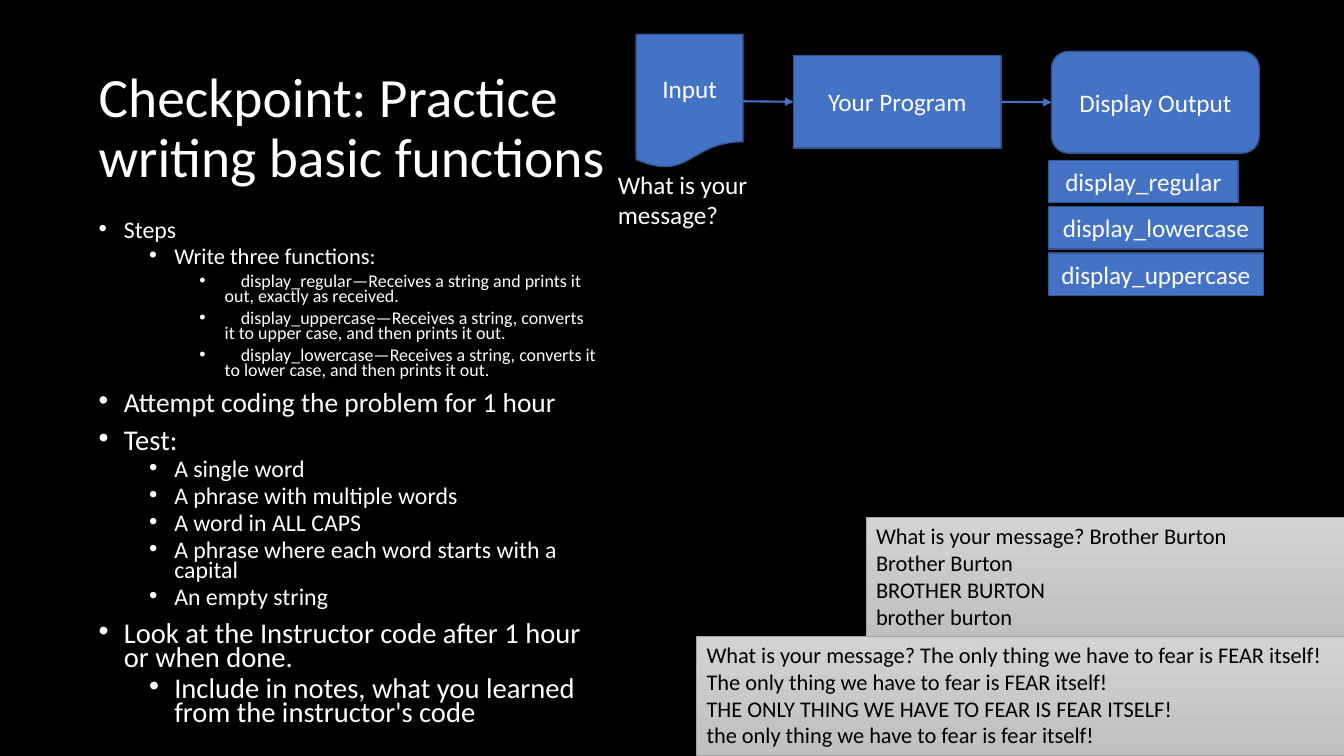
import pptx
import pptx.util
import pptx.dml.color
import pptx.enum.dml
import pptx.enum.shapes
import pptx.enum.text
import pptx.oxml
import pptx.oxml.ns

RGB = pptx.dml.color.RGBColor
SHAPE = pptx.enum.shapes.MSO_SHAPE
ALIGN = pptx.enum.text.PP_ALIGN
ANCHOR = pptx.enum.text.MSO_ANCHOR
FIT = pptx.enum.text.MSO_AUTO_SIZE

BLACK = RGB(0x00, 0x00, 0x00)
WHITE = RGB(0xFF, 0xFF, 0xFF)
BLUE = RGB(0x44, 0x72, 0xC4)
NAVY = RGB(0x32, 0x54, 0x91)
GREY = RGB(0xA5, 0xA5, 0xA5)
LIGHT = RGB(0xD2, 0xD2, 0xD2)
SILVER = RGB(0xC0, 0xC0, 0xC0)

EMU_PER_PX = 9144  # 100 px to the inch


def px(n):
    return pptx.util.Emu(n * EMU_PER_PX)


def apply(target, formats):
    for name, value in formats.items():
        setattr(target, name, value)


def append_xml(parent, tag, attributes=""):
    ns = pptx.oxml.ns.nsdecls("a")
    child = pptx.oxml.parse_xml(f"<a:{tag} {ns} {attributes}/>")
    parent.append(child)
    return child


class Deck:
    font = "Calibri"

    def __init__(self, slide):
        self.s = slide

    def background(self, color):
        fill = self.s.background.fill
        fill.solid()
        fill.fore_color.rgb = color

    def add_text(self, p, text, size, color, **formats):
        apply(p, formats)
        r = p.add_run()
        r.text = text
        apply(r.font, {"name": self.font, "size": pptx.util.Pt(size)})
        r.font.color.rgb = color

    def text(self, box, text, size, frame=None, **formats):
        sp = self.s.shapes.add_textbox(*map(px, box))
        tf = sp.text_frame
        apply(tf, {"word_wrap": True, **(frame or {})})
        if text:
            self.add_text(tf.paragraphs[0], text, size, WHITE, **formats)
        return tf

    def bullets(self, box, items):
        tf = self.text(box, "", 0, {"vertical_anchor": ANCHOR.MIDDLE})
        for i, (level, size, text) in enumerate(items):
            p = tf.paragraphs[0] if i == 0 else tf.add_paragraph()
            self.add_text(p, text, size, WHITE, level=level, line_spacing=0.7,
                          space_before=pptx.util.Pt(5 if level else 10))
            pPr = p._p.get_or_add_pPr()
            pPr.set("marL", str(px(25 + 50 * level)))
            pPr.set("indent", str(px(-25)))
            append_xml(pPr, "buFont", 'typeface="Arial"')
            append_xml(pPr, "buChar", 'char="•"')
            if text.startswith("\t"):
                tabs = append_xml(pPr, "tabLst")
                append_xml(tabs, "tab", f'pos="{px(141)}" algn="l"')

    def shape(self, kind, box, line, width):
        sp = self.s.shapes.add_shape(kind, *map(px, box))
        sp.shadow.inherit = False
        sp.line.color.rgb = line
        sp.line.width = pptx.util.Pt(width)
        return sp

    def block(self, kind, box, label):
        sp = self.shape(kind, box, NAVY, 1)
        sp.fill.solid()
        sp.fill.fore_color.rgb = BLUE
        tf = sp.text_frame
        apply(tf, {"word_wrap": True, "vertical_anchor": ANCHOR.MIDDLE})
        self.add_text(tf.paragraphs[0], label, 18, WHITE, alignment=ALIGN.CENTER)
        return sp

    def console(self, box, lines):
        sp = self.shape(SHAPE.RECTANGLE, box, GREY, 0.5)
        sp.fill.gradient()
        sp.fill.gradient_angle = 270
        for stop, color in zip(sp.fill.gradient_stops, (LIGHT, SILVER)):
            stop.color.rgb = color
        tf = sp.text_frame
        apply(tf, {"word_wrap": True, "vertical_anchor": ANCHOR.TOP,
                   "auto_size": FIT.SHAPE_TO_FIT_TEXT})
        for i, line in enumerate(lines):
            p = tf.paragraphs[0] if i == 0 else tf.add_paragraph()
            self.add_text(p, line, 16, BLACK, alignment=ALIGN.LEFT)

    def arrow(self, start, end):
        kind = pptx.enum.shapes.MSO_CONNECTOR.STRAIGHT
        c = self.s.shapes.add_connector(kind, 0, 0, 0, 0)
        c.begin_connect(start, 3)
        c.end_connect(end, 1)
        c.line.color.rgb = BLUE
        c.line.width = pptx.util.Pt(1.5)
        spPr = c._element.spPr
        append_xml(spPr.get_or_add_ln(), "tailEnd", 'type="triangle"')
        append_xml(spPr, "effectLst")


def main():
    prs = pptx.Presentation()
    prs.slide_width = pptx.util.Inches(13.33)
    prs.slide_height = pptx.util.Inches(7.5)
    d = Deck(prs.slides.add_slide(prs.slide_layouts[6]))
    d.background(BLACK)

    # Title and instructions
    d.text((88, 87, 525, 143), "Checkpoint: Practice writing basic functions", 39.6,
           {"vertical_anchor": ANCHOR.MIDDLE, "margin_bottom": px(65)},
           line_spacing=0.9)
    d.bullets((88, 192, 515, 558), [
        (0, 17, "Steps"),
        (1, 16.1, "Write three functions:"),
        (2, 12.8, "\tdisplay_regular—Receives a string and prints it out, "
                  "exactly as received."),
        (2, 12.8, "\tdisplay_uppercase—Receives a string, converts it to upper case, "
                  "and then prints it out."),
        (2, 12.8, "\tdisplay_lowercase—Receives a string, converts it to lower case, "
                  "and then prints it out."),
        (0, 19.6, "Attempt coding the problem for 1 hour"),
        (0, 20.4, "Test:"),
        (1, 17, "A single word"),
        (1, 17, "A phrase with multiple words"),
        (1, 17, "A word in ALL CAPS"),
        (1, 17, "A phrase where each word starts with a capital"),
        (1, 17, "An empty string"),
        (0, 20.4, "Look at the Instructor code after 1 hour or when done."),
        (1, 20.4, "Include in notes, what you learned from the instructor's code"),
    ])

    # Flow from input to output
    source = d.block(SHAPE.FLOWCHART_DOCUMENT, (631, 34, 106, 133), "Input")
    program = d.block(SHAPE.FLOWCHART_PROCESS, (787, 55, 206, 92), "Your Program")
    output = d.block(SHAPE.FLOWCHART_ALTERNATE_PROCESS, (1043, 51, 206, 101),
                     "Display Output")
    d.arrow(source, program)
    d.arrow(program, output)
    d.text((603, 163, 153, 71), "What is your message?", 18,
           {"auto_size": FIT.SHAPE_TO_FIT_TEXT})

    # Functions under the output
    functions = [("display_regular", 188), ("display_lowercase", 213),
                 ("display_uppercase", 213)]
    for i, (name, width) in enumerate(functions):
        d.block(SHAPE.FLOWCHART_PROCESS, (1040, 159 + 46 * i, width, 42), name)

    # Sample runs
    d.console((859, 513, 475, 118), [
        "What is your message? Brother Burton",
        "Brother Burton",
        "BROTHER BURTON",
        "brother burton",
    ])
    d.console((691, 631, 642, 118), [
        "What is your message? The only thing we have to fear is FEAR itself!",
        "The only thing we have to fear is FEAR itself!",
        "THE ONLY THING WE HAVE TO FEAR IS FEAR ITSELF!",
        "the only thing we have to fear is fear itself!",
    ])

    prs.save("out.pptx")


if __name__ == "__main__":
    main()
